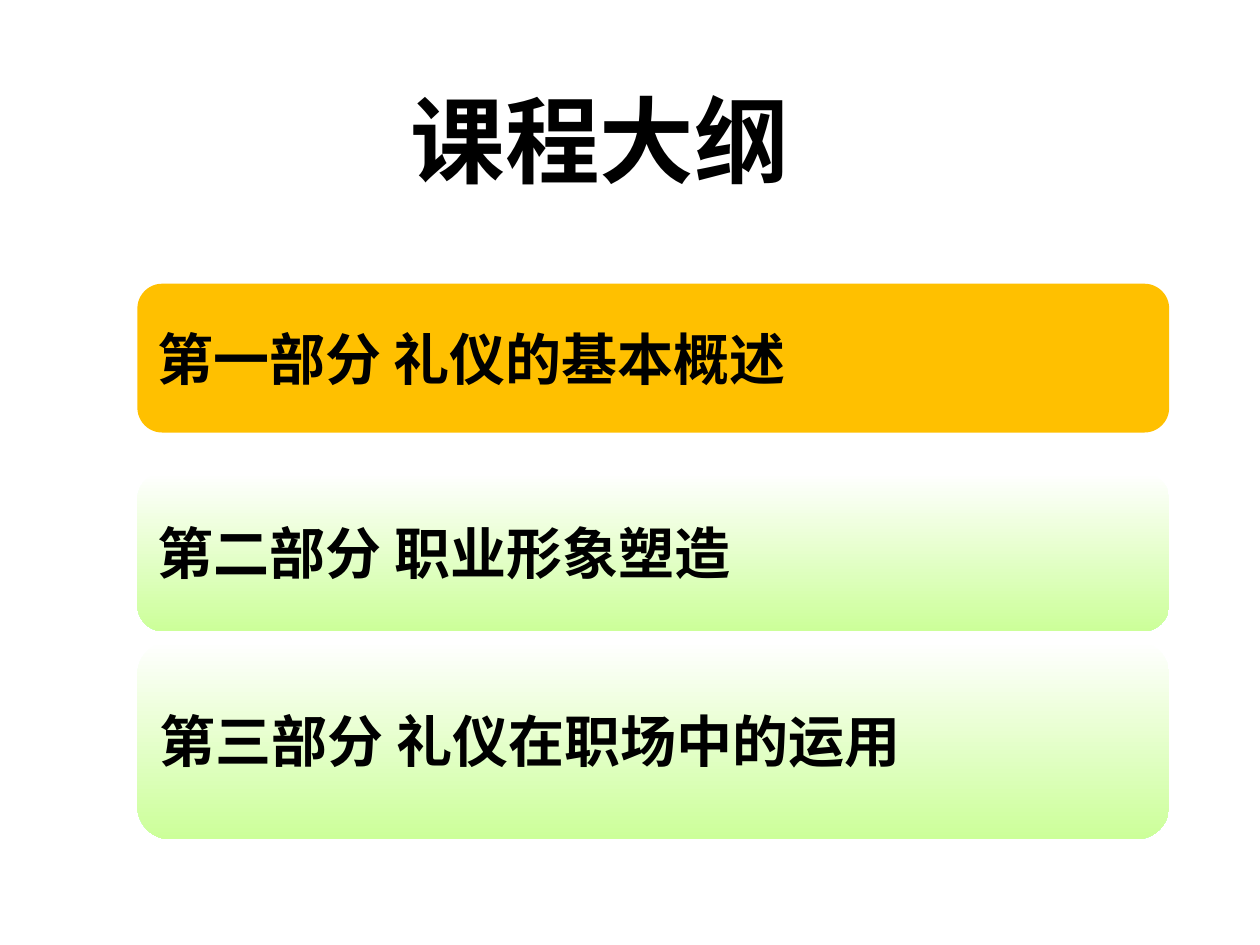
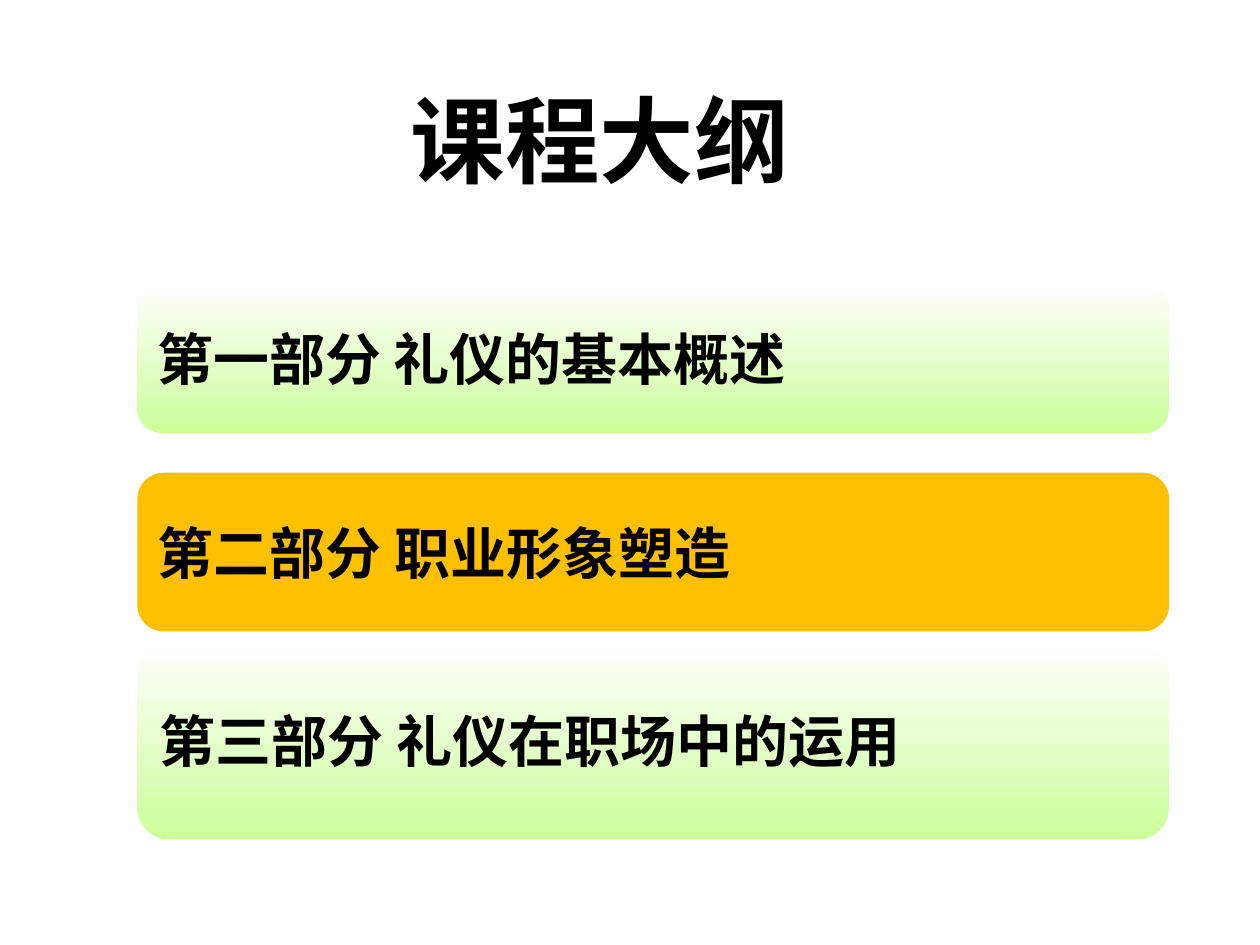
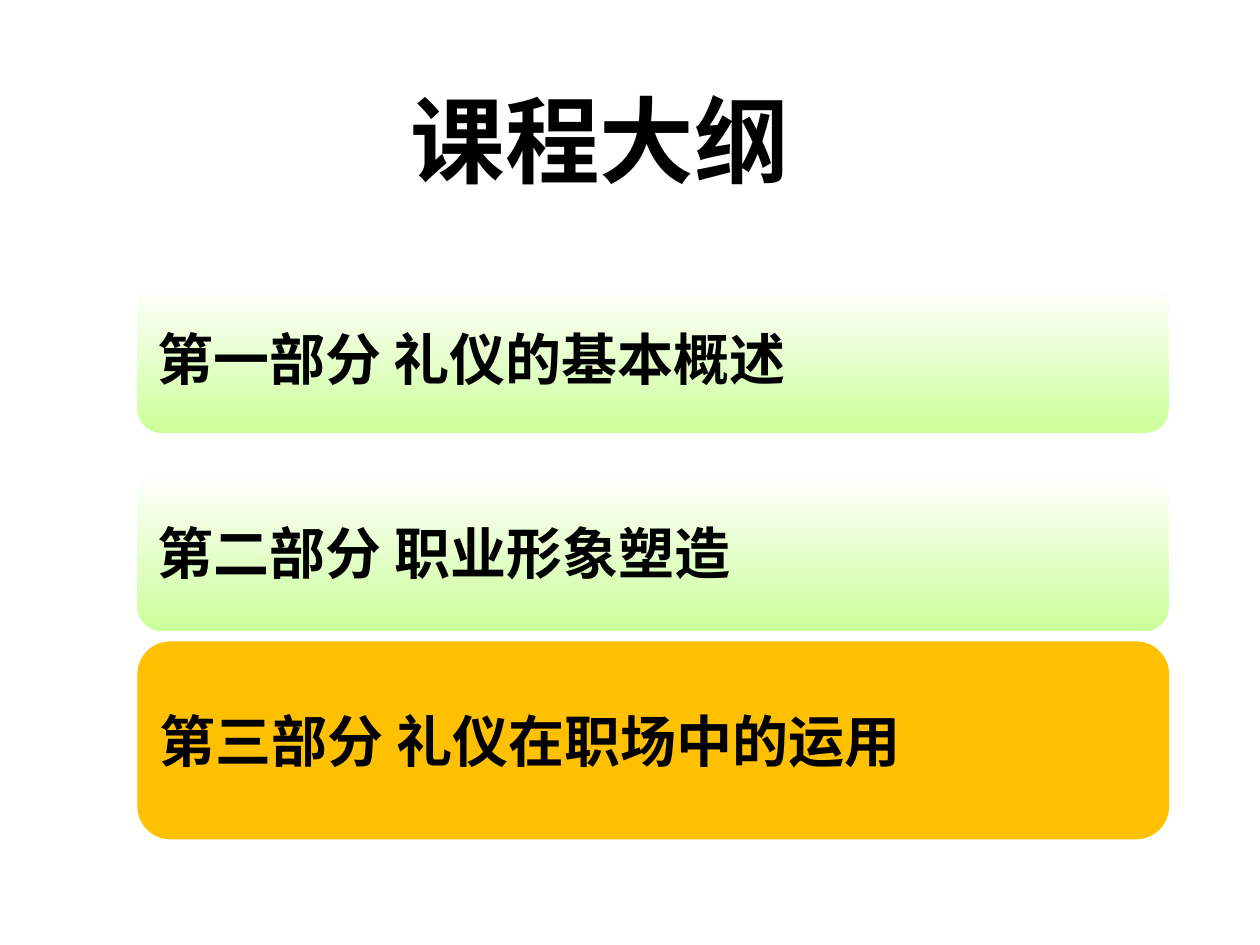
from pptx import Presentation
from pptx import util as u
from pptx.dml.color import RGBColor
from pptx.enum import shapes, text
from pptx.oxml.ns import qn
from lxml import etree

BLACK = RGBColor(0x00, 0x00, 0x00)
WHITE = RGBColor(0xFF, 0xFF, 0xFF)
AMBER = RGBColor(0xFF, 0xC0, 0x00)
LIME = RGBColor(0xCC, 0xFF, 0x99)
FONT = "Noto Sans CJK SC"

HEADING = "课程大纲"
CHAPTERS = [
    ("第一部分 礼仪的基本概述", 5.72, 3.0),
    ("第二部分 职业形象塑造", 9.53, 3.2),
    ("第三部分 礼仪在职场中的运用", 12.93, 3.99),
]


class Outline:
    def __init__(self):
        self.deck = Presentation()
        self.deck.slide_width = u.Cm(25.4)
        self.deck.slide_height = u.Cm(19.05)
        self.slide = None

    def new_slide(self):
        self.slide = self.deck.slides.add_slide(self.deck.slide_layouts[6])

    def panel(self, preset, box, wording, size, align):
        panel = self.slide.shapes.add_shape(preset, *map(u.Cm, box))
        panel.shadow.inherit = False
        panel.line.fill.background()
        frame = panel.text_frame
        frame.word_wrap = False
        frame.vertical_anchor = text.MSO_ANCHOR.MIDDLE
        line = frame.paragraphs[0]
        line.text = wording
        line.alignment = align
        font = line.font
        font.size = u.Pt(size)
        font.bold = True
        font.color.rgb = BLACK
        font.name = FONT
        defaults = line._p.get_or_add_pPr().find(qn("a:defRPr"))
        etree.SubElement(defaults, qn("a:ea"), typeface=FONT)
        return panel

    def heading(self, wording):
        heading = self.panel(shapes.MSO_SHAPE.ROUNDED_RECTANGLE, (5.49, 0.71, 13.21, 4.19),
                             wording, 54, text.PP_ALIGN.CENTER)
        heading.fill.background()

    def chapter(self, wording, top, height, current):
        fill = self.panel(shapes.MSO_SHAPE.FLOWCHART_ALTERNATE_PROCESS, (2.77, top, 20.8, height),
                          wording, 32, text.PP_ALIGN.LEFT).fill
        if current:
            fill.solid()
            fill.fore_color.rgb = AMBER
            return
        fill.gradient()
        fill.gradient_angle = 270
        for stop, position, colour in zip(fill.gradient_stops, (0, 1), (WHITE, LIME)):
            stop.position = position
            stop.color.rgb = colour


def main():
    outline = Outline()
    for current in range(len(CHAPTERS)):
        outline.new_slide()
        outline.heading(HEADING)
        for index, (wording, top, height) in enumerate(CHAPTERS):
            outline.chapter(wording, top, height, index == current)
    outline.deck.save("out.pptx")


if __name__ == "__main__":
    main()
